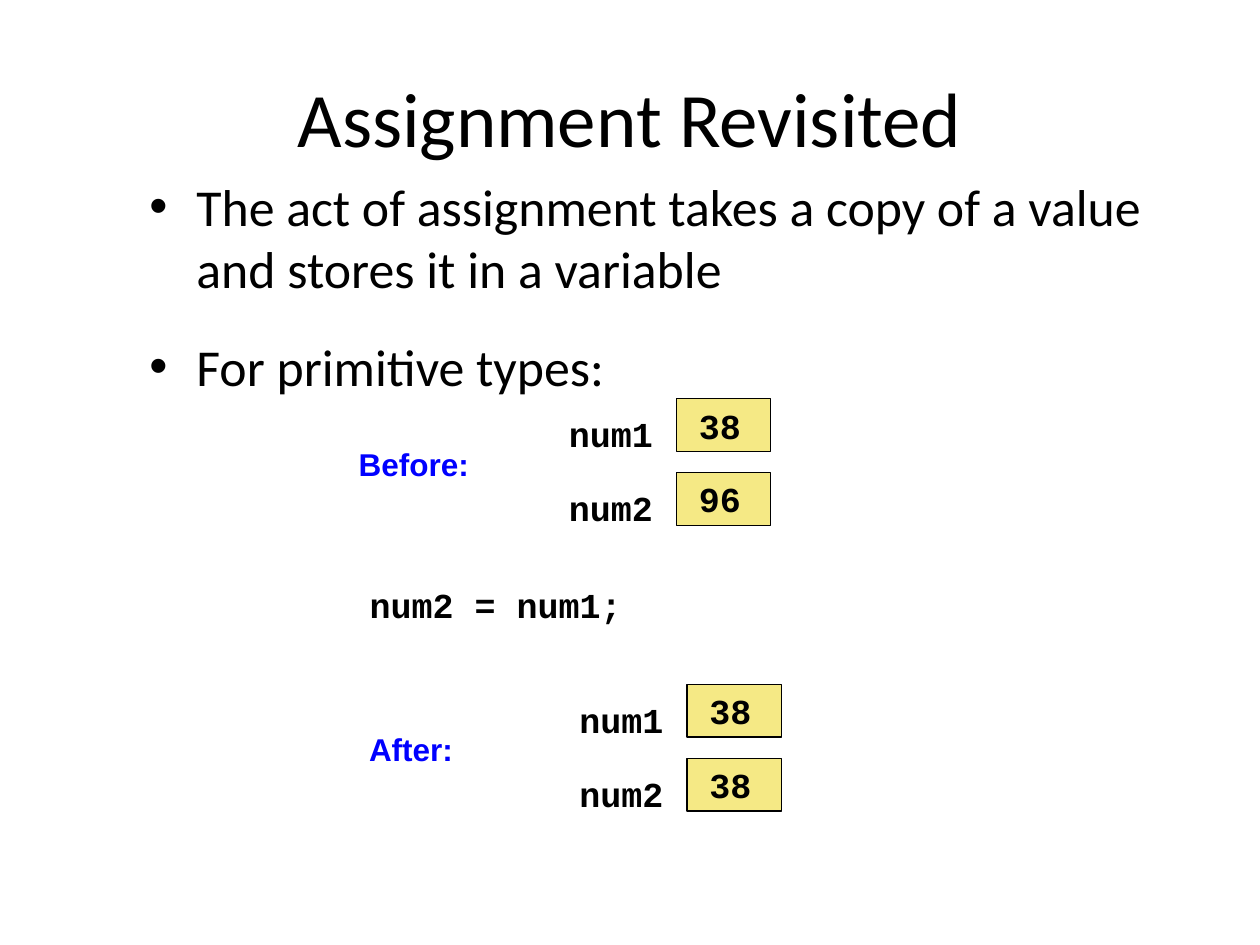
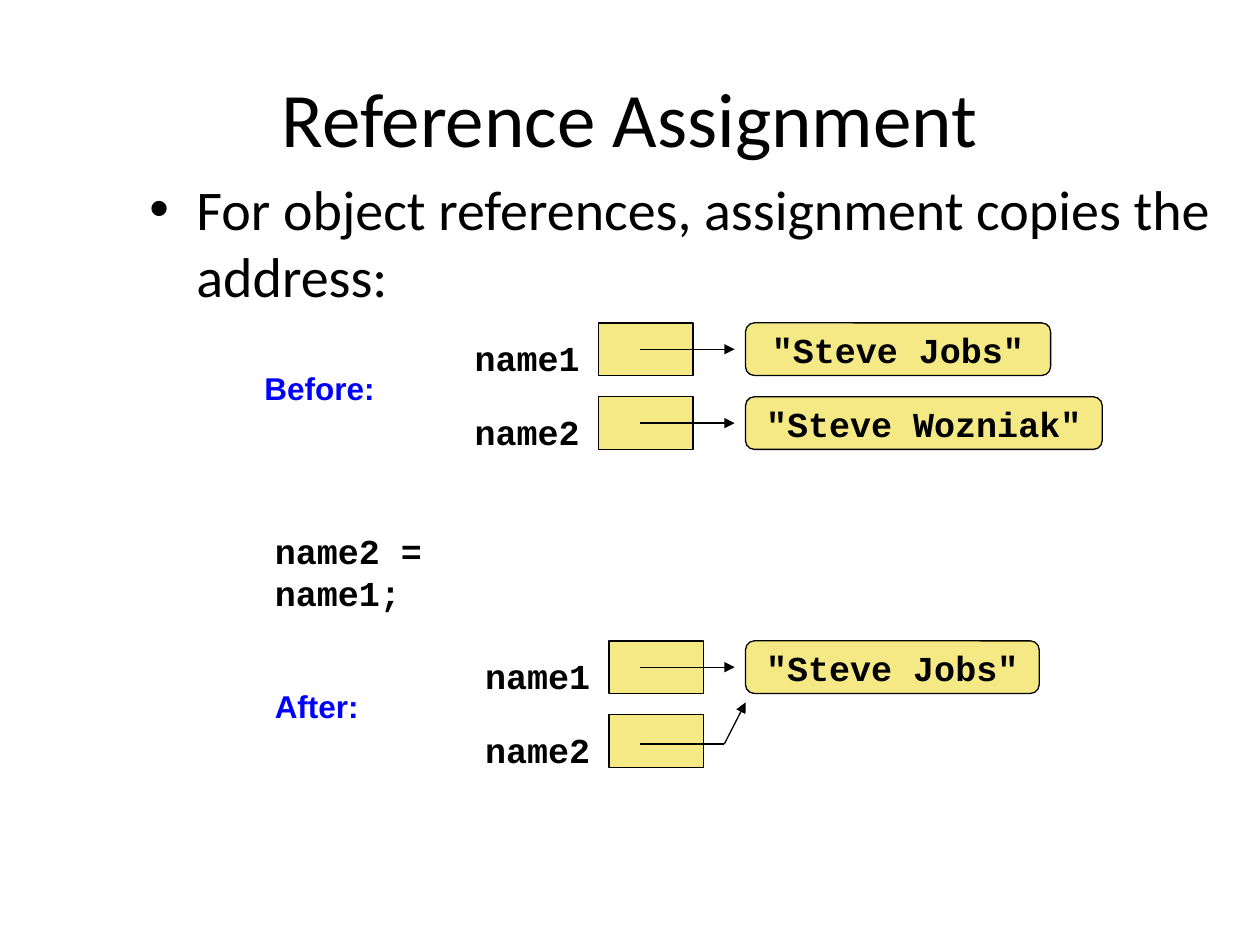
from lxml import etree
from pptx import Presentation
from pptx import util as u
from pptx.dml.color import RGBColor
from pptx.enum import shapes, text
from pptx.oxml import ns

COLORS = {"ink": "000000", "label": "0000FF", "memory": "F5E985"}
CODE = dict(font="Courier New", size=20, bold=True, leading=24)
LABEL = dict(font="Arial", size=18, bold=True, color="label")

# Lengths in cm
BOX_W, BOX_H = 1.9, 1.06
ROW_STEP = 1.49
OBJECT_X = 15.03
POINTER_X = 12.9


def write(frame, content, font="Calibri", size=20, bold=False, color="ink",
          align="LEFT", anchor="TOP", wrap=False, leading=None, gap=None, bullet=False):
    """Fill a text frame, one paragraph per line of content."""
    frame.word_wrap = wrap
    frame.vertical_anchor = getattr(text.MSO_ANCHOR, anchor)
    for index, line in enumerate(content.split("\n")):
        para = frame.add_paragraph() if index else frame.paragraphs[0]
        para.alignment = getattr(text.PP_ALIGN, align)
        if leading:
            para.line_spacing = u.Pt(leading)
        if gap and index:
            para.space_before = u.Pt(gap)
        if bullet:
            props = para._p.get_or_add_pPr()
            props.set("marL", str(u.Cm(0.95)))
            props.set("indent", str(-u.Cm(0.95)))
            etree.SubElement(props, ns.qn("a:buFont"), typeface="Arial")
            etree.SubElement(props, ns.qn("a:buChar"), char="•")
        run = para.add_run()
        run.text = line
        run.font.name, run.font.size, run.font.bold = font, u.Pt(size), bold
        run.font.color.rgb = RGBColor.from_string(COLORS[color])


class Deck:
    def __init__(self):
        self.prs = Presentation()
        self.prs.slide_width, self.prs.slide_height = u.Cm(25.4), u.Cm(19.05)
        self.slide = None

    def new_slide(self, title, points, size, height, gap=None):
        self.slide = self.prs.slides.add_slide(self.prs.slide_layouts[6])
        self.text(title, 1.27, 0.76, 22.86, 3.18, size=44, align="CENTER",
                  anchor="MIDDLE", wrap=True)
        self.text(points, 2.76, 3.39, 22.02, height, size=size, gap=gap,
                  bullet=True, wrap=True)

    def text(self, content, x, y, w, h, **style):
        box = self.slide.shapes.add_textbox(u.Cm(x), u.Cm(y), u.Cm(w), u.Cm(h))
        write(box.text_frame, content, **style)

    def code(self, content, x, y):
        self.text(content, x, y, len(content) * 0.43 + 0.55, 1.09, **CODE)

    def memory(self, x, y, w=BOX_W, content=None):
        """A variable's cell, or a rounded object when it has content."""
        kind = shapes.MSO_SHAPE.ROUNDED_RECTANGLE if content else shapes.MSO_SHAPE.RECTANGLE
        cell = self.slide.shapes.add_shape(kind, u.Cm(x), u.Cm(y), u.Cm(w), u.Cm(BOX_H))
        cell.shadow.inherit = False
        cell.fill.solid()
        cell.fill.fore_color.rgb = RGBColor.from_string(COLORS["memory"])
        cell.line.color.rgb = RGBColor.from_string(COLORS["ink"])
        cell.line.width = u.Pt(0.75)
        if content:
            write(cell.text_frame, content, align="CENTER", anchor="MIDDLE", **CODE)

    def line(self, x1, y1, x2, y2, arrow=True):
        link = self.slide.shapes.add_connector(
            shapes.MSO_CONNECTOR.STRAIGHT, u.Cm(x1), u.Cm(y1), u.Cm(x2), u.Cm(y2))
        link.line.color.rgb = RGBColor.from_string(COLORS["ink"])
        link.line.width = u.Pt(0.75)
        if arrow:
            etree.SubElement(link.line._get_or_add_ln(), ns.qn("a:tailEnd"), type="triangle")
        etree.SubElement(link._element.spPr, ns.qn("a:effectLst"))

    def state(self, label, names, x, y, name_gap):
        """Label, variable names and cells; returns the top of each cell."""
        self.text(label, x - name_gap - 4.24, y + 0.8, 3.48, 1.27, wrap=True, **LABEL)
        tops = [y + row * ROW_STEP for row in range(len(names))]
        for name, top in zip(names, tops):
            self.memory(x, top)
            self.code(name, x - name_gap, top + 0.15)
        return tops

    def pointer(self, top):
        middle = top + BOX_H / 2
        self.line(POINTER_X, middle, 14.81, middle)


def primitive_slide(deck):
    deck.new_slide("Assignment Revisited",
                   "The act of assignment takes a copy of a value and stores it in a variable\n"
                   "For primitive types:", size=29.6, height=4.45, gap=20.7)
    # Values before and after
    for label, values, x, y in [("Before:", ("38", "96"), 13.64, 8.04),
                                ("After:", ("38", "38"), 13.85, 13.8)]:
        tops = deck.state(label, ("num1", "num2"), x, y, name_gap=2.42)
        for value, top in zip(values, tops):
            deck.code(value, x + 0.2, top - 0.02)
    deck.code("num2 = num1;", 7.2, 11.63)


def reference_slide(deck):
    deck.new_slide("Reference Assignment",
                   "For object references, assignment copies the address:", size=32, height=2.97)
    names = ("name1", "name2")
    # Before: each name points to its own object
    tops = deck.state("Before:", names, 12.07, 6.51, name_gap=2.75)
    for top, person, width in zip(tops, ('"Steve Jobs"', '"Steve Wozniak"'), (6.15, 7.19)):
        deck.memory(OBJECT_X, top, width, person)
        deck.pointer(top)
    # The statement breaks over two lines
    deck.text("name2 = name1;", 5.29, 10.54, 6.3, 1.94, wrap=True, **CODE)
    # After: both names point to one object
    first, second = deck.state("After:", names, 12.28, 12.92, name_gap=2.75)
    deck.memory(OBJECT_X, first, 5.92, '"Steve Jobs"')
    deck.pointer(first)
    middle, bend = second + BOX_H / 2 + 0.06, 14.6
    deck.line(POINTER_X, middle, bend, middle, arrow=False)
    deck.line(bend, middle, OBJECT_X, first + BOX_H + 0.18)


def main():
    deck = Deck()
    primitive_slide(deck)
    reference_slide(deck)
    deck.prs.save("out.pptx")


if __name__ == "__main__":
    main()
